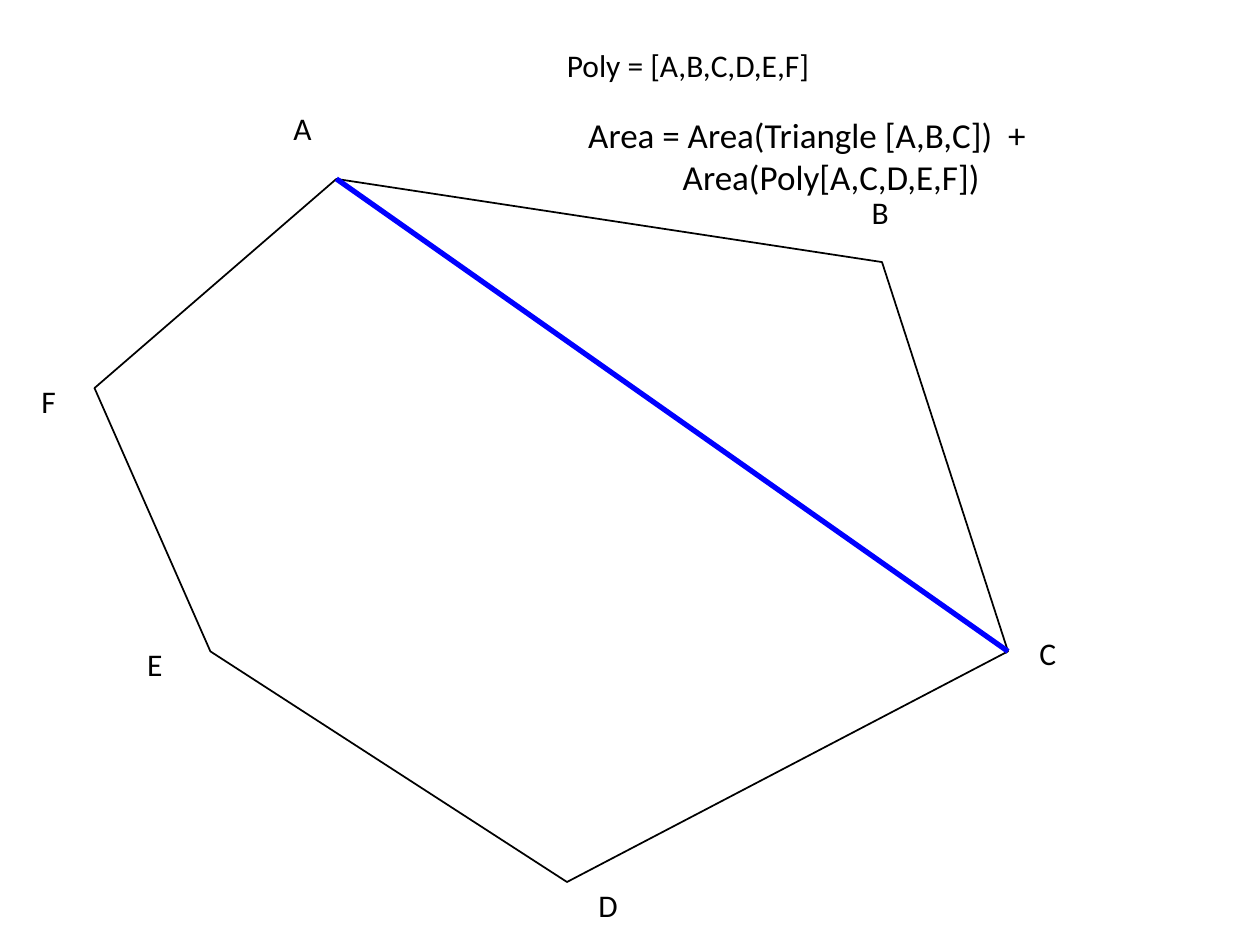
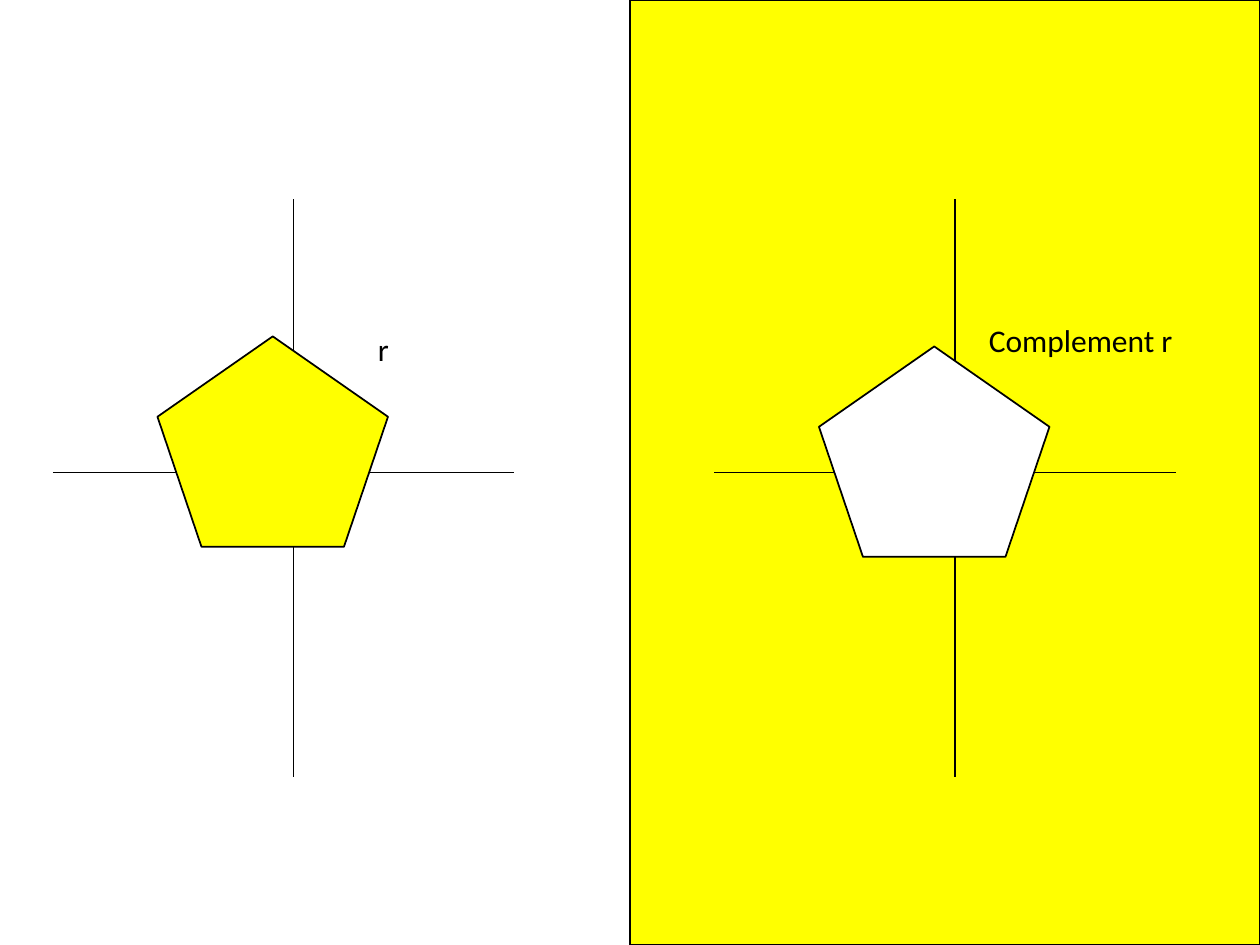
"""Build two geometry slides: polygon area by triangulation, and a region with its complement."""
import dataclasses
import pptx
import pptx.dml.color
import pptx.enum.shapes
import pptx.enum.text
import pptx.oxml
import pptx.util

Inches = pptx.util.Inches
Pt = pptx.util.Pt
RGB = pptx.dml.color.RGBColor
Shape = pptx.enum.shapes.MSO_SHAPE


@dataclasses.dataclass(frozen=True)
class Theme:
    ink: RGB = RGB(0, 0, 0)
    paper: RGB = RGB(255, 255, 255)
    region: RGB = RGB(255, 255, 0)
    diagonal: RGB = RGB(0, 0, 255)
    font: str = "Calibri"
    label_size: int = 18
    formula_size: int = 20
    thin: int = 1
    thick: int = 3


theme = Theme()


def add_text(page, text, *, left, top, width, height=0.37, size=theme.label_size, indent=0):
    """Add unwrapped text; every line after the first is indented."""
    box = page.shapes.add_textbox(Inches(left), Inches(top), Inches(width), Inches(height))
    frame = box.text_frame
    frame.word_wrap = False
    frame.auto_size = pptx.enum.text.MSO_AUTO_SIZE.SHAPE_TO_FIT_TEXT
    for number, line in enumerate(text.split("\n")):
        para = frame.add_paragraph() if number else frame.paragraphs[0]
        if number:
            para._p.get_or_add_pPr().set("marL", str(Inches(indent)))
        span = para.add_run()
        span.text = line
        span.font.name = theme.font
        span.font.size = Pt(size)
        span.font.color.rgb = theme.ink


def style(shape, *, fill=None, line=theme.ink, weight=theme.thin):
    """Set the outline, and the fill of a closed shape, without a shadow."""
    shape.line.color.rgb = line
    shape.line.width = Pt(weight)
    if fill is None:
        effects = pptx.oxml.parse_xml(
            '<a:effectLst xmlns:a="http://schemas.openxmlformats.org/drawingml/2006/main"/>')
        shape._element.spPr.append(effects)
    else:
        shape.shadow.inherit = False
        shape.fill.solid()
        shape.fill.fore_color.rgb = fill


deck = pptx.Presentation()
deck.slide_width = Inches(10)
deck.slide_height = Inches(7.5)
blank = deck.slide_layouts[6]
straight = pptx.enum.shapes.MSO_CONNECTOR.STRAIGHT

page = deck.slides.add_slide(blank)
vertices = {"A": (2.67, 1.42), "B": (7, 2.08), "C": (8, 5.17),
            "D": (4.5, 7), "E": (1.67, 5.17), "F": (0.75, 3.08)}
corners = [(Inches(x), Inches(y)) for x, y in vertices.values()]
builder = page.shapes.build_freeform(*corners[0])
builder.add_line_segments(corners[1:], close=True)
style(builder.convert_to_shape(), fill=theme.paper)

label_places = {"A": (2.23, 0.82), "B": (6.82, 1.48), "C": (8.15, 4.98),
                "D": (4.65, 6.98), "E": (1.07, 5.07), "F": (0.23, 2.98)}
for name, (left, top) in label_places.items():
    add_text(page, name, left=left, top=top, width=0.36)

add_text(page, "Poly = [A,B,C,D,E,F]", left=4.4, top=0.32, width=2.31)
diagonal = page.shapes.add_connector(straight, *corners[0], *corners[2])
style(diagonal, line=theme.diagonal, weight=theme.thick)
add_text(page, "Area = Area(Triangle [A,B,C])  +\nArea(Poly[A,C,D,E,F])",
         left=4.57, top=0.85, width=4.35, height=0.77, size=theme.formula_size, indent=0.75)

page = deck.slides.add_slide(blank)
half = page.shapes.add_shape(Shape.RECTANGLE, Inches(5), 0, Inches(5), deck.slide_height)
style(half, fill=theme.region)

for offset, pentagon_top, fill in ((0, 2.67, theme.region), (5.25, 2.75, theme.paper)):
    figure = page.shapes.add_group_shape().shapes
    for x1, y1, x2, y2 in ((2.33, 1.58, 2.33, 6.17), (0.42, 3.75, 4.08, 3.75)):
        axis = figure.add_connector(straight, Inches(x1 + offset), Inches(y1),
                                    Inches(x2 + offset), Inches(y2))
        style(axis)
    pentagon = figure.add_shape(Shape.REGULAR_PENTAGON, Inches(1.25 + offset),
                                Inches(pentagon_top), Inches(1.83), Inches(1.67))
    style(pentagon, fill=fill)

add_text(page, "r", left=2.9, top=2.57, width=0.29)
add_text(page, "Complement r", left=7.75, top=2.5, width=1.7)

deck.save("out.pptx")
